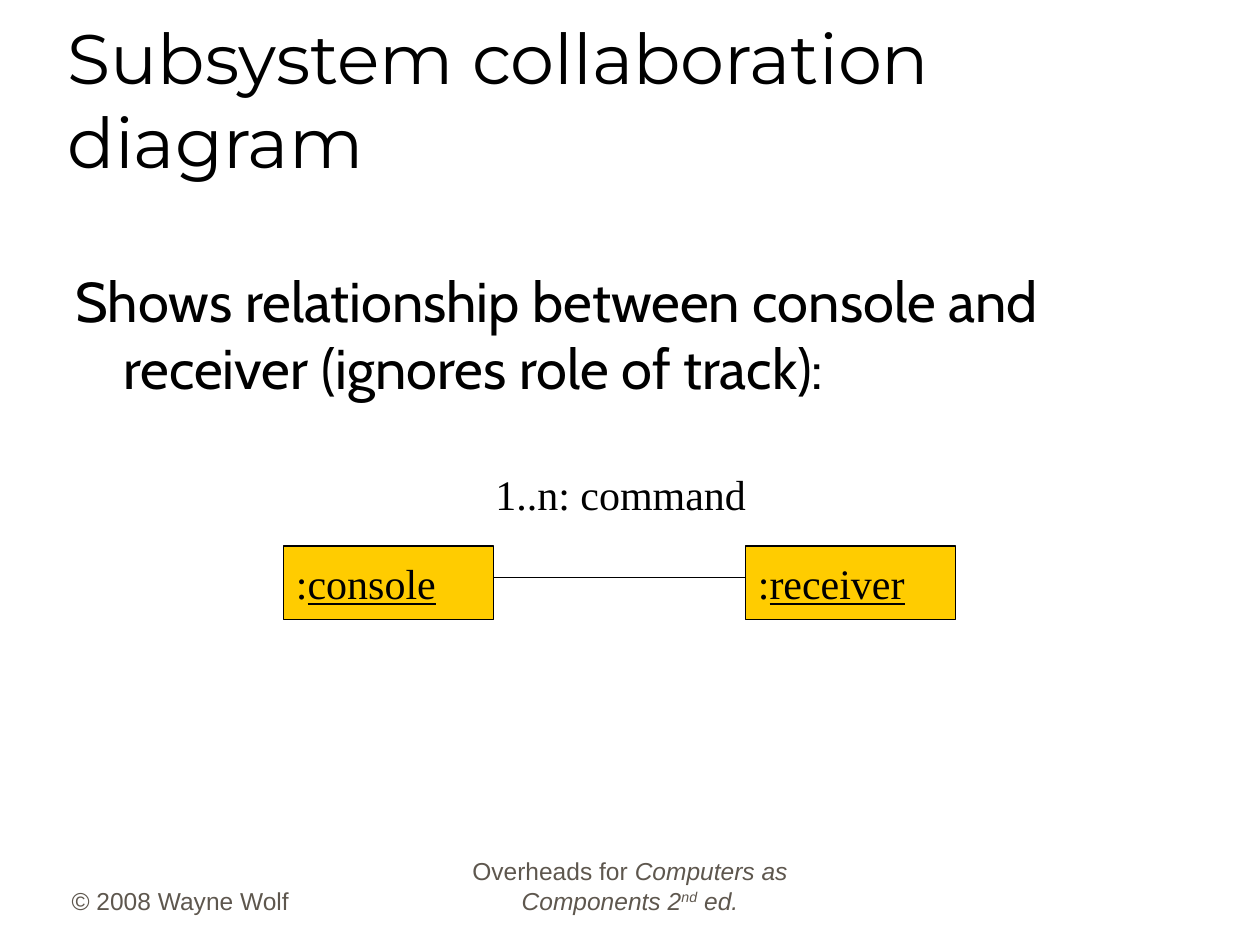
from lxml.etree import SubElement
from pptx import Presentation
from pptx.dml.color import RGBColor
from pptx.enum.shapes import MSO_CONNECTOR, MSO_SHAPE
from pptx.enum.text import MSO_ANCHOR, MSO_AUTO_SIZE, PP_ALIGN
from pptx.oxml.ns import qn
from pptx.util import Inches, Pt

BLACK = RGBColor(0x00, 0x00, 0x00)
GOLD = RGBColor(0xFF, 0xCC, 0x00)
TAUPE = RGBColor(0x5E, 0x57, 0x4E)
COLUMNS, ROWS = 120, 90
OBJECT_WIDTH, OBJECT_HEIGHT, OBJECT_ROW = 20, 7, 52
CONSOLE_COLUMN, RECEIVER_COLUMN, LINK_ROW = 27, 71, 55


class DiagramSlide:
    def __init__(self, presentation):
        self.cell_width = presentation.slide_width / COLUMNS
        self.cell_height = presentation.slide_height / ROWS
        self.slide = presentation.slides.add_slide(presentation.slide_layouts[5])

    def box(self, column, row, width, height):
        return (round(column * self.cell_width), round(row * self.cell_height),
                round(width * self.cell_width), round(height * self.cell_height))

    def fill_text(self, shape, pieces, font_name, size, color=BLACK,
                  anchor=MSO_ANCHOR.TOP, align=PP_ALIGN.LEFT, wrap=True):
        text_frame = shape.text_frame
        text_frame.auto_size = MSO_AUTO_SIZE.NONE
        text_frame.word_wrap = wrap
        text_frame.vertical_anchor = anchor
        paragraph = text_frame.paragraphs[0]
        paragraph.alignment = align
        for text, style in pieces:
            run = paragraph.add_run()
            run.text = text
            run.font.name = font_name
            run.font.size = Pt(size)
            run.font.color.rgb = color
            run.font.italic = "italic" in style
            run.font.underline = "underline" in style
            if "superscript" in style:
                run._r.get_or_add_rPr().set("baseline", "30000")
        return paragraph

    def title(self, text, *grid):
        title = self.slide.shapes.title
        title.left, title.top, title.width, title.height = self.box(*grid)
        self.fill_text(title, [(text, "")], "Montserrat", 40, anchor=MSO_ANCHOR.BOTTOM)

    def text(self, pieces, grid, font_name, size, **options):
        text_box = self.slide.shapes.add_textbox(*self.box(*grid))
        return self.fill_text(text_box, pieces, font_name, size, **options)

    def body(self, text, *grid):
        paragraph = self.text([(text, "")], grid, "Cabin", 32)
        properties = paragraph._p.get_or_add_pPr()
        properties.set("marL", str(Inches(0.38)))
        properties.set("indent", str(Inches(-0.38)))

    def footer(self, pieces, *grid, align=PP_ALIGN.LEFT):
        self.text(pieces, grid, "Arial", 14, color=TAUPE,
                  anchor=MSO_ANCHOR.BOTTOM, align=align)

    def label(self, text, *grid):
        self.text([(text, "")], grid, "Times New Roman", 24, wrap=False)

    def object_box(self, name, column):
        shape = self.slide.shapes.add_shape(
            MSO_SHAPE.RECTANGLE,
            *self.box(column, OBJECT_ROW, OBJECT_WIDTH, OBJECT_HEIGHT))
        shape.shadow.inherit = False
        shape.fill.solid()
        shape.fill.fore_color.rgb = GOLD
        self.outline(shape)
        self.fill_text(shape, [(":", ""), (name, "underline")],
                       "Times New Roman", 24, anchor=MSO_ANCHOR.MIDDLE)

    def link(self, start_column, end_column, row):
        left, top, width, _ = self.box(start_column, row, end_column - start_column, 0)
        connector = self.slide.shapes.add_connector(
            MSO_CONNECTOR.STRAIGHT, left, top, left + width, top)
        self.outline(connector)
        SubElement(connector._element.spPr, qn("a:effectLst"))

    def outline(self, shape):
        shape.line.color.rgb = BLACK
        shape.line.width = Pt(0.75)


def main():
    presentation = Presentation()
    presentation.slide_width, presentation.slide_height = Inches(10), Inches(7.5)
    slide = DiagramSlide(presentation)
    slide.footer([("© 2008 Wayne Wolf", "")], 5.64, 81.75, 25, 6)
    slide.footer([("Overheads for ", ""), ("Computers as Components 2", "italic"),
                  ("nd", "italic superscript"), (" ed.", "italic")],
                 41, 81.75, 38, 6, align=PP_ALIGN.CENTER)
    slide.title("Subsystem collaboration diagram", 5.25, 3, 102, 15)
    slide.body("Shows relationship between console and receiver "
               "(ignores role of track):", 6, 24.75, 107.25, 14.25)
    slide.object_box("console", CONSOLE_COLUMN)
    slide.object_box("receiver", RECEIVER_COLUMN)
    slide.link(CONSOLE_COLUMN + OBJECT_WIDTH, RECEIVER_COLUMN, LINK_ROW)
    slide.label("1..n: command", 46, 44, 26.25, 6)
    presentation.save("out.pptx")


if __name__ == "__main__":
    main()
